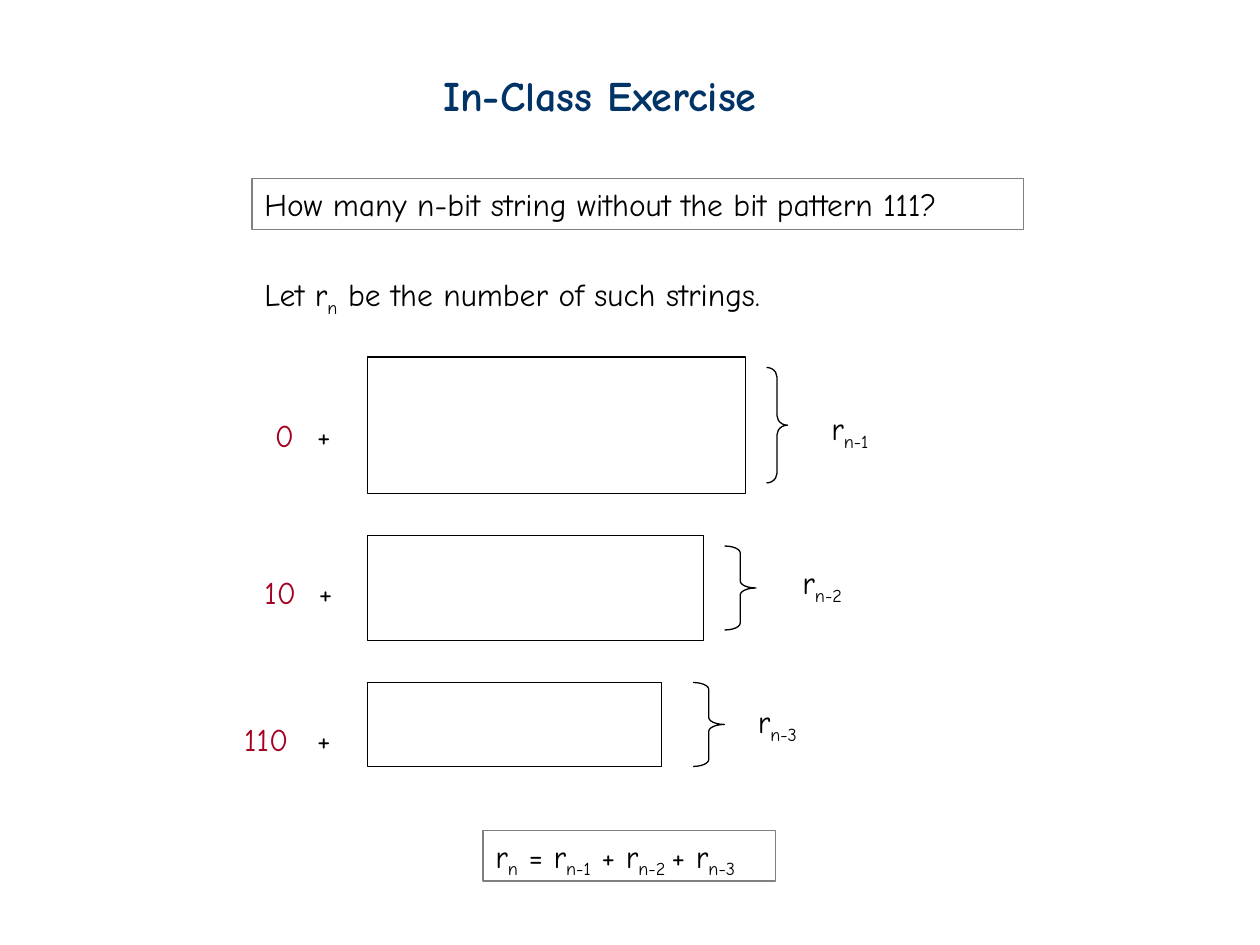
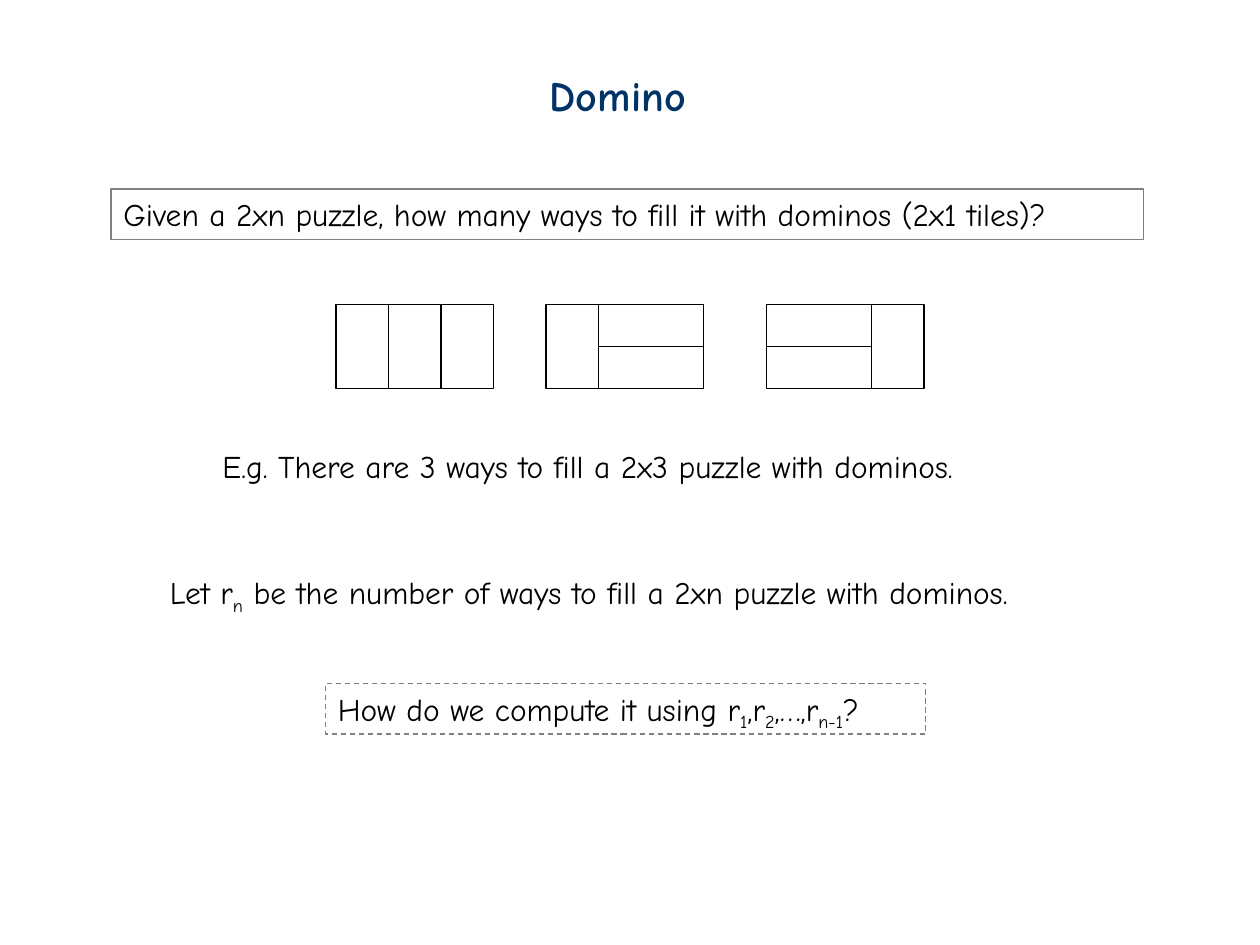
from lxml import etree
from pptx import Presentation
from pptx.dml.color import RGBColor
from pptx.enum.dml import MSO_LINE
from pptx.enum.shapes import MSO_CONNECTOR, MSO_SHAPE
from pptx.enum.text import MSO_ANCHOR, MSO_AUTO_SIZE, PP_ALIGN
from pptx.oxml.ns import qn
from pptx.util import Pt

RECTANGLE = MSO_SHAPE.RECTANGLE
RIGHT_BRACE = MSO_SHAPE.RIGHT_BRACE
STRAIGHT = MSO_CONNECTOR.STRAIGHT
DASH = MSO_LINE.DASH

NAVY = RGBColor(0x00, 0x33, 0x66)
BLACK = RGBColor(0x00, 0x00, 0x00)
GRAY = RGBColor(0x80, 0x80, 0x80)
RED = RGBColor(0xA5, 0x00, 0x21)

FONT = "Comic Neue"
TITLE_FORMAT = {"name": FONT, "size": Pt(24), "bold": True}
BODY_FORMAT = {"name": FONT, "size": Pt(18), "bold": False}
FRAME_FORMAT = {
    "word_wrap": True,
    "auto_size": MSO_AUTO_SIZE.NONE,
    "vertical_anchor": MSO_ANCHOR.TOP,
    "margin_left": Pt(7.2),
    "margin_top": Pt(3.6),
    "margin_right": 0,
    "margin_bottom": Pt(3.6),
}
TEXT_HEIGHT = 29
CELL_WIDTH, CELL_HEIGHT = 30, 24


def apply_format(target, values):
    for name, value in values.items():
        setattr(target, name, value)


def write_text(box, text, color, values, line_spacing=1.0):
    """Write one paragraph; every second piece between bars is a subscript."""
    frame = box.text_frame
    apply_format(frame, FRAME_FORMAT)
    para = frame.paragraphs[0]
    para.alignment = PP_ALIGN.LEFT
    para.line_spacing = line_spacing
    for index, piece in enumerate(text.split("|")):
        if not piece:
            continue
        span = para.add_run()
        span.text = piece
        apply_format(span.font, values)
        span.font.color.rgb = color
        if index % 2:
            span.font._element.set("baseline", "-25000")


def set_line(item, color=BLACK, dash=None):
    item.line.color.rgb = color
    item.line.width = Pt(0.75)
    if dash:
        item.line.dash_style = dash


def add_titled_page(deck, title, left, width):
    page = deck.slides.add_slide(deck.slide_layouts[5])
    box = page.shapes.title
    place = {"left": left, "top": 36, "width": width, "height": 36}
    apply_format(box, {name: Pt(value) for name, value in place.items()})
    write_text(box, title, NAVY, TITLE_FORMAT)
    return page


def add_text(page, text, left, top, width, color=BLACK, line_spacing=1.0):
    box = page.shapes.add_textbox(Pt(left), Pt(top), Pt(width), Pt(TEXT_HEIGHT))
    write_text(box, text, color, BODY_FORMAT, line_spacing)
    return box


def add_framed_text(page, text, left, top, width, dash=None):
    set_line(add_text(page, text, left, top, width), GRAY, dash)


def add_outline(page, kind, left, top, width, height):
    shape = page.shapes.add_shape(kind, Pt(left), Pt(top), Pt(width), Pt(height))
    shape.shadow.inherit = False
    shape.fill.background()
    set_line(shape)
    return shape


def add_line(page, *ends):
    line = page.shapes.add_connector(STRAIGHT, *map(Pt, ends))
    set_line(line)
    etree.SubElement(line._element.spPr, qn("a:effectLst"))


def add_brace(page, left, top, width, height, curl):
    brace = add_outline(page, RIGHT_BRACE, left, top, width, height)
    brace.adjustments[0] = curl
    brace.adjustments[1] = 0.5


def add_puzzle(page, left, top, cuts):
    """Draw a 2x3 puzzle; each cut gives its two ends in cells."""
    add_outline(page, RECTANGLE, left, top, 3 * CELL_WIDTH, 2 * CELL_HEIGHT)
    for x1, y1, x2, y2 in cuts:
        add_line(page, left + x1 * CELL_WIDTH, top + y1 * CELL_HEIGHT,
                 left + x2 * CELL_WIDTH, top + y2 * CELL_HEIGHT)


def build_exercise(deck):
    page = add_titled_page(deck, "In-Class Exercise", 246, 222)
    add_framed_text(page, "How many n-bit string without the bit pattern 111?",
                    144, 102, 441)
    add_text(page, "Let r|n| be the number of such strings.", 144, 153.5, 326)

    # prefix, its left and top, plus left, block height,
    # brace (left, top, width, height, curl), count (left, top, line spacing)
    cases = [
        ("0", 150, 234, 174, 78, (438, 210, 12, 66, 0.46), (468, 218, 1.5)),
        ("10", 144, 324, 175, 60, (414, 312, 18, 48, 0.22), (451.5, 318, 1)),
        ("110", 132.5, 408, 174, 48, (396, 390, 18, 48, 0.22), (426, 397.5, 1)),
    ]
    block_top = 204
    for index, (prefix, left, top, plus_left, height, brace, count) in enumerate(cases):
        count_left, count_top, spacing = count
        add_text(page, prefix, left, top, 42, RED)
        add_text(page, "+", plus_left, top, 24)
        add_outline(page, RECTANGLE, 210, block_top, 216 - 24 * index, height)
        add_brace(page, *brace)
        add_text(page, f"r|n-{index + 1}|", count_left, count_top, 42,
                 line_spacing=spacing)
        block_top += height + 24

    add_framed_text(page, "r|n| = r|n-1| + r|n-2 |+ r|n-3|", 276, 474.5, 167)


def build_domino(deck):
    page = add_titled_page(deck, "Domino", 307, 95)
    add_framed_text(
        page, "Given a 2xn puzzle, how many ways to fill it with dominos (2x1 tiles)?",
        63.5, 108, 590)
    puzzles = [
        (192, [(1, 0, 1, 2), (2, 0, 2, 2)]),
        (312, [(1, 0, 1, 2), (1, 1, 3, 1)]),
        (438, [(2, 0, 2, 2), (0, 1, 2, 1)]),
    ]
    for left, cuts in puzzles:
        add_puzzle(page, left, 174, cuts)
    add_text(page, "E.g. There are 3 ways to fill a 2x3 puzzle with dominos.",
             120, 252, 478)
    add_text(page, "Let r|n| be the number of ways to fill a 2xn puzzle with dominos.",
             90, 324, 540)
    add_framed_text(page, "How do we compute it using r|1|,r|2|,…,r|n-1|?",
                    186, 390.5, 343, DASH)


def main():
    deck = Presentation()
    deck.slide_width, deck.slide_height = Pt(720), Pt(540)
    build_exercise(deck)
    build_domino(deck)
    deck.save("out.pptx")


if __name__ == "__main__":
    main()
